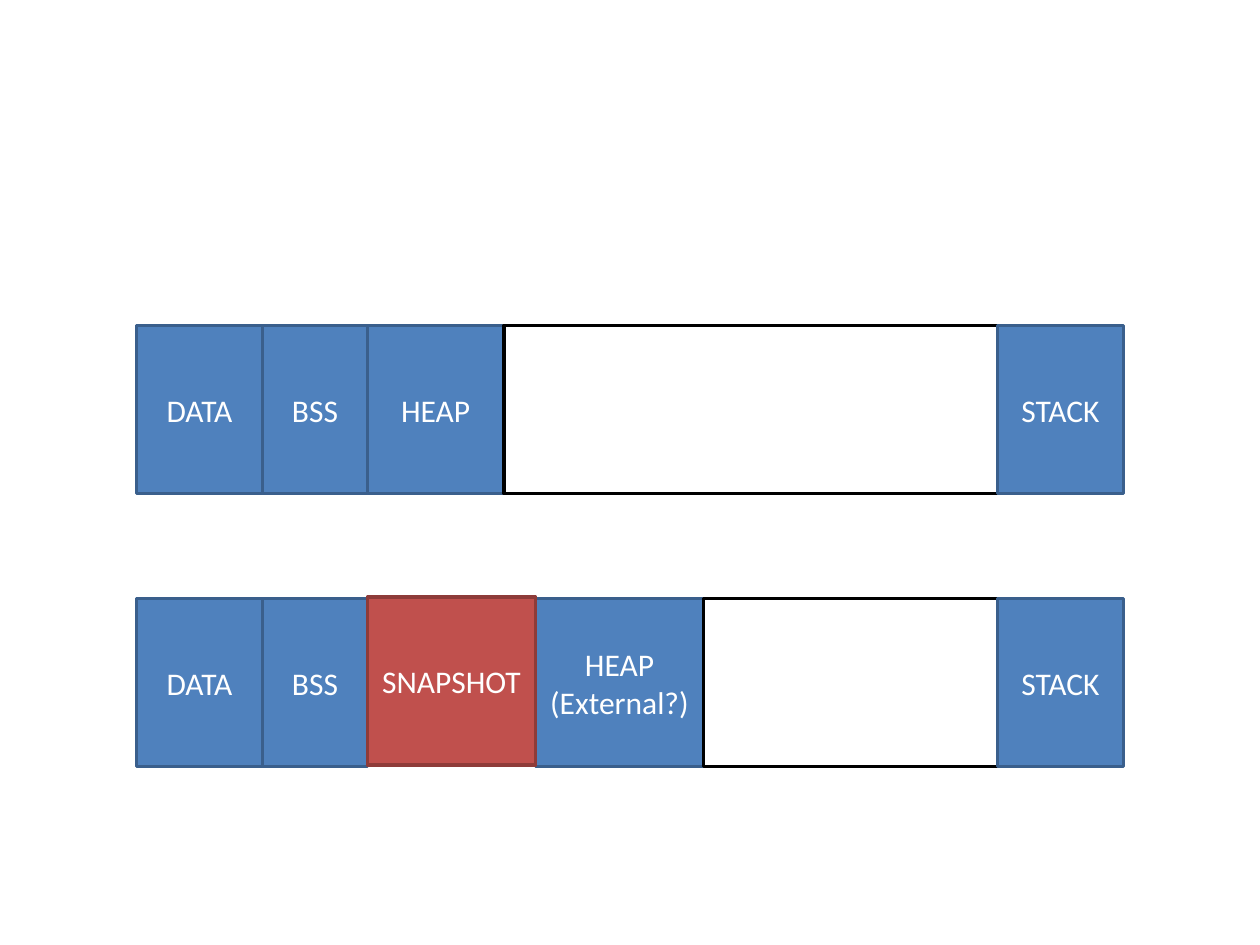
from pptx import Presentation
from pptx.dml.color import RGBColor
from pptx.enum.shapes import MSO_SHAPE
from pptx.enum.text import MSO_ANCHOR, PP_ALIGN
from pptx.util import Pt

PX = 9525  # EMU, 96 px to the inch
RECT = MSO_SHAPE.RECTANGLE
MIDDLE = MSO_ANCHOR.MIDDLE
CENTER = PP_ALIGN.CENTER

WHITE = RGBColor(0xFF, 0xFF, 0xFF)
BLACK = RGBColor(0, 0, 0)
BLUE = RGBColor(0x4F, 0x81, 0xBD)
NAVY = RGBColor(0x3A, 0x5F, 0x8C)
RED = RGBColor(0xC0, 0x50, 0x4D)
MAROON = RGBColor(0x8E, 0x3B, 0x39)

USED = (BLUE, NAVY)
FREE = (WHITE, BLACK)
SNAP = (RED, MAROON)

LEFT = 104
HIGH = 128
DATA = ("DATA", 96, USED)
BSS = ("BSS", 80, USED)
STACK = ("STACK", 96, USED)


def put_text(shape, text, size=18, font="Calibri", color=WHITE, align=CENTER):
    frame = shape.text_frame
    frame.word_wrap = True
    frame.vertical_anchor = MIDDLE
    frame.text = text
    for para in frame.paragraphs:
        para.alignment = align
        for run in para.runs:
            run.font.size = Pt(size)
            run.font.name = font
            run.font.color.rgb = color


def add_block(slide, left, top, width, text, style):
    fill, line = style
    box = [n * PX for n in (left, top, width, HIGH)]
    shape = slide.shapes.add_shape(RECT, *box)
    shape.shadow.inherit = False
    shape.fill.solid()
    shape.fill.fore_color.rgb = fill
    shape.line.color.rgb = line
    shape.line.width = Pt(2)
    if text:
        put_text(shape, text)


def add_row(slide, top, blocks):
    """Lay blocks side by side; the snapshot goes on top, 1 px higher."""
    left = LEFT
    spots = []
    for text, width, style in blocks:
        lift = 1 if style is SNAP else 0
        spots.append((left, top - lift, width, text, style))
        left += width
    for spot in sorted(spots, key=lambda s: s[-1] is SNAP):
        add_block(slide, *spot)


def main():
    deck = Presentation()
    deck.slide_width = 960 * PX
    deck.slide_height = 720 * PX
    slide = deck.slides.add_slide(deck.slide_layouts[6])
    add_row(slide, 248, [DATA, BSS, ("HEAP", 104, USED),
                         ("", 376, FREE), STACK])
    add_row(slide, 456, [DATA, BSS, ("SNAPSHOT", 128, SNAP),
                         ("HEAP\n(External?)", 128, USED),
                         ("", 224, FREE), STACK])
    deck.save("out.pptx")


if __name__ == "__main__":
    main()
